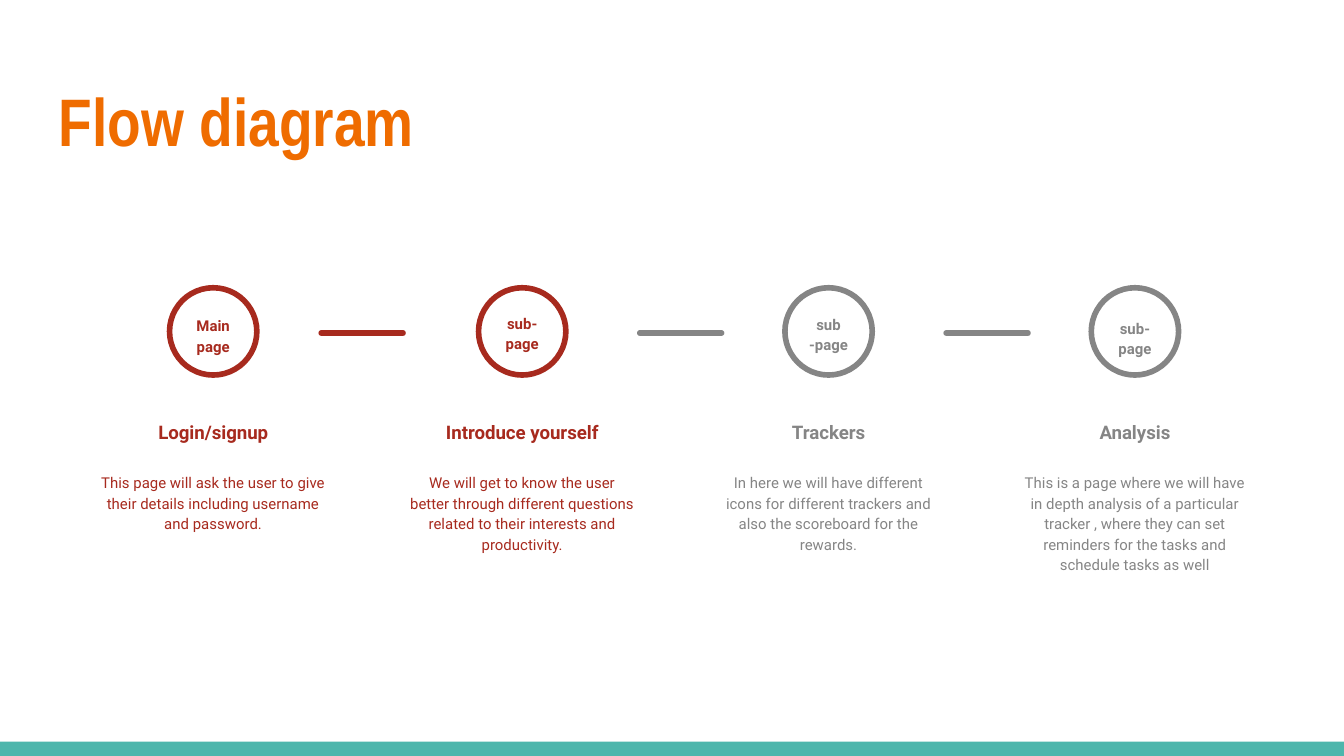
from dataclasses import dataclass

from pptx import Presentation
from pptx.dml.color import RGBColor
from pptx.enum.shapes import MSO_SHAPE as Kind
from pptx.enum.text import MSO_ANCHOR as Anchor, MSO_AUTO_SIZE as Auto, PP_ALIGN as Align
from pptx.util import Cm, Pt

COLORS = {"title": "EF6C00", "done": "A72A1E", "next": "858585", "foot": "4DB6AC"}
RING = 1.65
PAD = 0.25


@dataclass
class Step:
    mid: float
    tone: str
    label: str
    top: float
    head: str
    body: str
    wide: float = 1.22
    span: float = 4.75


@dataclass
class Link:
    left: float
    tone: str


STEPS = [
    Step(4.03, "done", "Main page", 5.69, "Login/signup",
         "This page will ask the user to give their details including "
         "username and password.", span=4.88),
    Step(9.87, "done", "sub-page", 5.64, "Introduce yourself",
         "We will get to know the user better through different questions "
         "related to their interests and productivity."),
    Step(15.66, "next", "sub -page", 5.66, "Trackers",
         "In here we will have different icons for different trackers and "
         "also the scoreboard for the rewards.", wide=1.7),
    Step(21.45, "next", "sub-page", 5.74, "Analysis",
         "This is a page where we will have in depth analysis of a particular "
         "tracker , where they can set reminders for the tasks and schedule "
         "tasks as well"),
]
LINKS = [Link(6.02, "done"), Link(12.04, "next"), Link(17.83, "next")]


def paint(tone: str) -> RGBColor:
    return RGBColor.from_string(COLORS[tone])


def add_run(para, text: str, font: str, size: float, tone: str, bold: bool) -> None:
    run = para.add_run()
    run.text = text
    run.font.name = font
    run.font.size = Pt(size)
    run.font.bold = bold
    run.font.color.rgb = paint(tone)


def set_frame(frame, anchor) -> None:
    frame.word_wrap = True
    frame.auto_size = Auto.NONE
    frame.vertical_anchor = anchor
    frame.margin_left = frame.margin_right = Cm(PAD)
    frame.margin_top = frame.margin_bottom = Cm(PAD)


def add_bar(shapes, kind, left: float, top: float, wide: float, high: float, tone: str):
    bar = shapes.add_shape(kind, Cm(left), Cm(top), Cm(wide), Cm(high))
    bar.shadow.inherit = False
    bar.fill.solid()
    bar.fill.fore_color.rgb = paint(tone)
    bar.line.fill.background()
    return bar


def add_text(shapes, mid: float, top: float, wide: float, high: float, text: str,
             tone: str, size: float = 8, bold: bool = False,
             anchor=Anchor.TOP, after: float = 16) -> None:
    """Add a text box centred on mid."""
    box = shapes.add_textbox(Cm(mid - wide / 2), Cm(top), Cm(wide), Cm(high))
    set_frame(box.text_frame, anchor)
    para = box.text_frame.paragraphs[0]
    para.alignment = Align.CENTER
    para.line_spacing = 1.15
    para.space_after = Pt(after)
    add_run(para, text, "Roboto", size, tone, bold)


def add_step(shapes, step: Step) -> None:
    group = shapes.add_group_shape().shapes
    ring = group.add_shape(Kind.OVAL, Cm(step.mid - RING / 2), Cm(5.44), Cm(RING), Cm(RING))
    ring.shadow.inherit = False
    ring.fill.background()
    ring.line.color.rgb = paint(step.tone)
    ring.line.width = Pt(3)
    add_text(group, step.mid, step.top, step.wide, 1.1, step.label, step.tone, bold=True)
    add_text(group, step.mid, 7.39, 4.75, 1.24, step.head, step.tone,
             size=10, bold=True, anchor=Anchor.BOTTOM, after=0)
    add_text(group, step.mid, 8.66, step.span, 2.06, step.body, step.tone)


def set_title(title, text: str) -> None:
    title.left, title.top = Cm(0.86), Cm(1.24)
    title.width, title.height = Cm(23.67), Cm(1.96)
    set_frame(title.text_frame, Anchor.TOP)
    para = title.text_frame.paragraphs[0]
    para.alignment = Align.LEFT
    add_run(para, text, "Arial Narrow", 36, "title", True)


def main() -> None:
    deck = Presentation()
    deck.slide_width, deck.slide_height = Cm(25.4), Cm(14.29)
    slide = deck.slides.add_slide(deck.slide_layouts[5])
    shapes = slide.shapes
    set_title(shapes.title, "Flow diagram")
    add_bar(shapes, Kind.RECTANGLE, 0, 14.02, 25.4, 0.27, "foot")
    for step in STEPS:
        add_step(shapes, step)
    for link in LINKS:
        bar = add_bar(shapes, Kind.ROUNDED_RECTANGLE, link.left, 6.24, RING, 0.11, link.tone)
        bar.adjustments[0] = 0.5
    deck.save("out.pptx")


if __name__ == "__main__":
    main()
